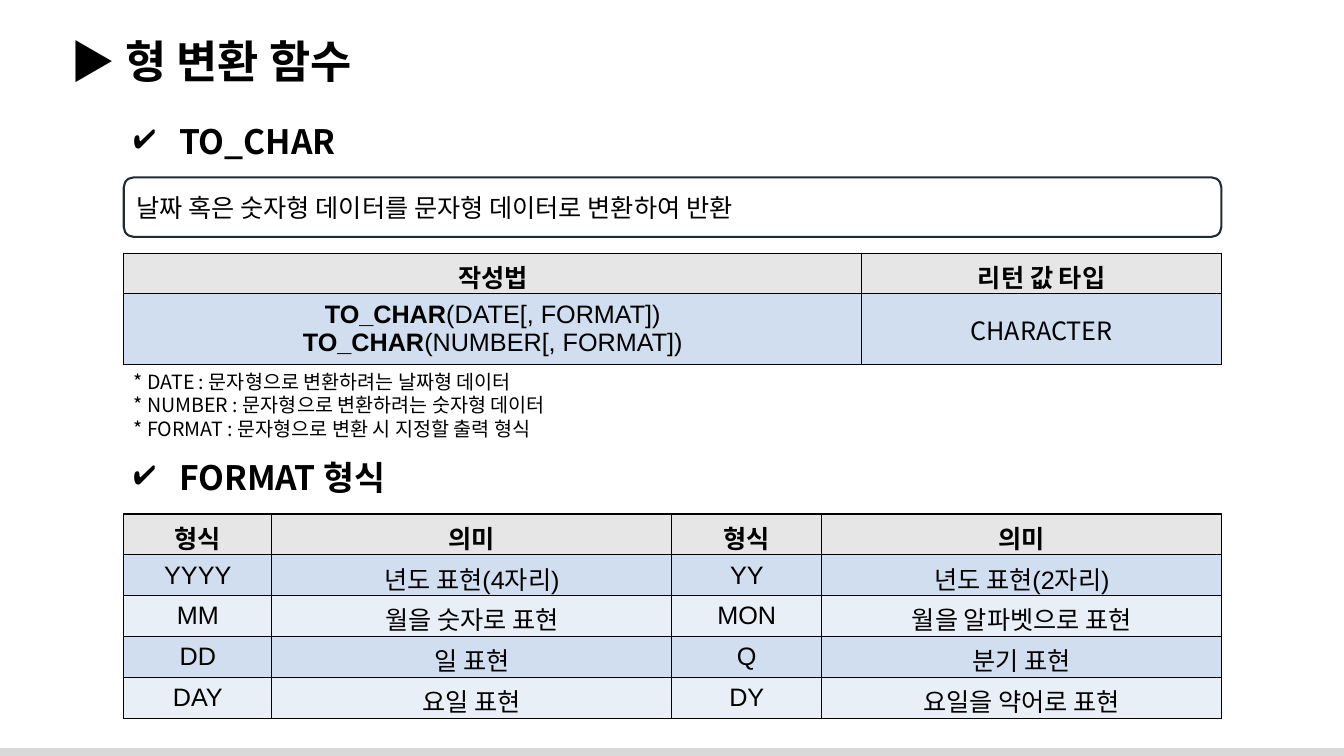
import lxml.etree
import pptx
import pptx.dml.color
import pptx.enum.shapes
import pptx.enum.text
import pptx.oxml.ns
import pptx.util

Cm = pptx.util.Cm
RGBColor = pptx.dml.color.RGBColor
ALIGN = pptx.enum.text.PP_ALIGN
ANCHOR = pptx.enum.text.MSO_ANCHOR
SHAPE = pptx.enum.shapes.MSO_SHAPE
qn = pptx.oxml.ns.qn

BLACK = RGBColor(0x00, 0x00, 0x00)
NAVY = RGBColor(0x22, 0x2A, 0x35)
FOOTER_GRAY = RGBColor(0xD9, 0xD9, 0xD9)
HEADER_GRAY = RGBColor(0xE7, 0xE6, 0xE6)
BLUE = RGBColor(0xD0, 0xDE, 0xEF)
PALE_BLUE = RGBColor(0xE9, 0xEF, 0xF7)
SANS = "Noto Sans CJK KR"
ARIAL = "Arial"
LEFT = 3.12
WIDTH = 27.66


class FunctionPage:
    """Holds the style and the current slide, and draws each kind of element."""

    def __init__(self, deck):
        self.page = deck.slides.add_slide(deck.slide_layouts[5])

    def fill_text(self, frame, lines, size, font=SANS, align=ALIGN.LEFT, anchor=ANCHOR.TOP):
        """Fill a text frame with lines, each a list of (text, bold) spans."""
        frame.word_wrap = True
        frame.vertical_anchor = anchor
        for index, line in enumerate(lines):
            para = frame.paragraphs[0] if index == 0 else frame.add_paragraph()
            self.fill_line(para, line, size, font, align)

    def fill_line(self, para, line, size, font, align):
        """Add the spans of one line to a paragraph."""
        para.alignment = align
        for text, bold in line:
            span = para.add_run()
            span.text = text
            span.font.size = pptx.util.Pt(size)
            span.font.bold = bold
            span.font.name = font
            span.font.color.rgb = BLACK
            east_asian = lxml.etree.SubElement(span._r.get_or_add_rPr(), qn("a:ea"))
            east_asian.set("typeface", SANS)

    def title(self, text):
        """Place and fill the title placeholder."""
        title = self.page.shapes.title
        title.left, title.top, title.width, title.height = Cm(1.52), Cm(0.71), Cm(32), Cm(1.63)
        self.fill_text(title.text_frame, [[(text, True)]], 32)
        title.text_frame.auto_size = pptx.enum.text.MSO_AUTO_SIZE.NONE

    def text(self, top, width, height, lines, size):
        """Add a text box at the left margin."""
        box = self.page.shapes.add_textbox(Cm(LEFT), Cm(top), Cm(width), Cm(height))
        self.fill_text(box.text_frame, lines, size)
        return box

    def heading(self, top, width, text):
        """Add a section heading with a check mark bullet."""
        box = self.text(top, width, 1.27, [[(text, True)]], 24)
        properties = box.text_frame.paragraphs[0]._p.get_or_add_pPr()
        properties.set("marL", str(Cm(0.95)))
        properties.set("indent", str(-Cm(0.95)))
        bullet_color = lxml.etree.SubElement(properties, qn("a:buClr"))
        lxml.etree.SubElement(bullet_color, qn("a:srgbClr")).set("val", str(BLACK))
        lxml.etree.SubElement(properties, qn("a:buChar")).set("char", "✔")

    def shape(self, kind, left, top, width, height, fill=None, line=None):
        """Add a preset shape with an optional fill and outline."""
        shape = self.page.shapes.add_shape(kind, Cm(left), Cm(top), Cm(width), Cm(height))
        shape.shadow.inherit = False
        if fill is None:
            shape.fill.background()
        else:
            shape.fill.solid()
            shape.fill.fore_color.rgb = fill
        if line is None:
            shape.line.fill.background()
        else:
            shape.line.color.rgb = line
            shape.line.width = pptx.util.Pt(1.5)
        return shape

    def border(self, cell):
        """Draw a thin black line on all four sides of a cell."""
        properties = cell._tc.get_or_add_tcPr()
        for side in ("a:lnL", "a:lnR", "a:lnT", "a:lnB"):
            edge = lxml.etree.SubElement(properties, qn(side))
            edge.set("w", str(pptx.util.Pt(1)))
            fill = lxml.etree.SubElement(edge, qn("a:solidFill"))
            lxml.etree.SubElement(fill, qn("a:srgbClr")).set("val", str(BLACK))

    def table(self, top, widths, heights, rows, font_of):
        """Add a bordered table with a gray header and alternating blue rows."""
        frame = self.page.shapes.add_table(
            len(rows), len(widths), Cm(LEFT), Cm(top), Cm(sum(widths)), Cm(sum(heights)))
        table = frame.table
        table.first_row = table.horz_banding = False
        for column, width in zip(table.columns, widths):
            column.width = Cm(width)
        for row_index, (row, height) in enumerate(zip(rows, heights)):
            table.rows[row_index].height = Cm(height)
            band = BLUE if row_index % 2 else PALE_BLUE
            for column_index, lines in enumerate(row):
                cell = table.cell(row_index, column_index)
                if isinstance(lines, str):
                    lines = [[(lines, row_index == 0)]]
                self.border(cell)
                cell.fill.solid()
                cell.fill.fore_color.rgb = band if row_index else HEADER_GRAY
                cell.vertical_anchor = ANCHOR.MIDDLE
                font = font_of(row_index, column_index)
                for index, line in enumerate(lines):
                    text_frame = cell.text_frame
                    para = text_frame.add_paragraph() if index else text_frame.paragraphs[0]
                    self.fill_line(para, line, 18, font, ALIGN.CENTER)


def main():
    """Build the slide and save it."""
    deck = pptx.Presentation()
    deck.slide_width, deck.slide_height = Cm(33.87), Cm(19.05)
    sheet = FunctionPage(deck)

    sheet.shape(SHAPE.RECTANGLE, 0, 18.85, 33.87, 0.2, fill=FOOTER_GRAY)
    sheet.title("▶ 형 변환 함수")

    sheet.heading(2.92, 5.64, " TO_CHAR")
    summary = sheet.shape(SHAPE.ROUNDED_RECTANGLE, LEFT, 4.47, WIDTH, 1.5, line=NAVY)
    summary_text = "날짜 혹은 숫자형 데이터를 문자형 데이터로 변환하여 반환"
    sheet.fill_text(summary.text_frame, [[(summary_text, False)]], 18, anchor=ANCHOR.MIDDLE)

    arguments = ("(DATE[, FORMAT])", "(NUMBER[, FORMAT])")
    usage = [[("TO_CHAR", True), (argument, False)] for argument in arguments]
    sheet.table(
        6.38, [18.6, 9.06], [1.02, 1.78],
        [["작성법", "리턴 값 타입"], [usage, "CHARACTER"]],
        lambda row, column: ARIAL if (row, column) == (1, 0) else SANS)

    notes = [
        "* DATE : 문자형으로 변환하려는 날짜형 데이터",
        "* NUMBER : 문자형으로 변환하려는 숫자형 데이터",
        "* FORMAT : 문자형으로 변환 시 지정할 출력 형식",
    ]
    sheet.text(9.19, 12.67, 2.05, [[(note, False)] for note in notes], 14)

    sheet.heading(11.38, 7.32, " FORMAT 형식")
    formats = [
        ["형식", "의미", "형식", "의미"],
        ["YYYY", "년도 표현(4자리)", "YY", "년도 표현(2자리)"],
        ["MM", "월을 숫자로 표현", "MON", "월을 알파벳으로 표현"],
        ["DD", "일 표현", "Q", "분기 표현"],
        ["DAY", "요일 표현", "DY", "요일을 약어로 표현"],
    ]
    sheet.table(
        12.95, [3.73, 10.08, 3.78, 10.08], [1.03] * len(formats), formats,
        lambda row, column: ARIAL)

    deck.save("out.pptx")


if __name__ == "__main__":
    main()
